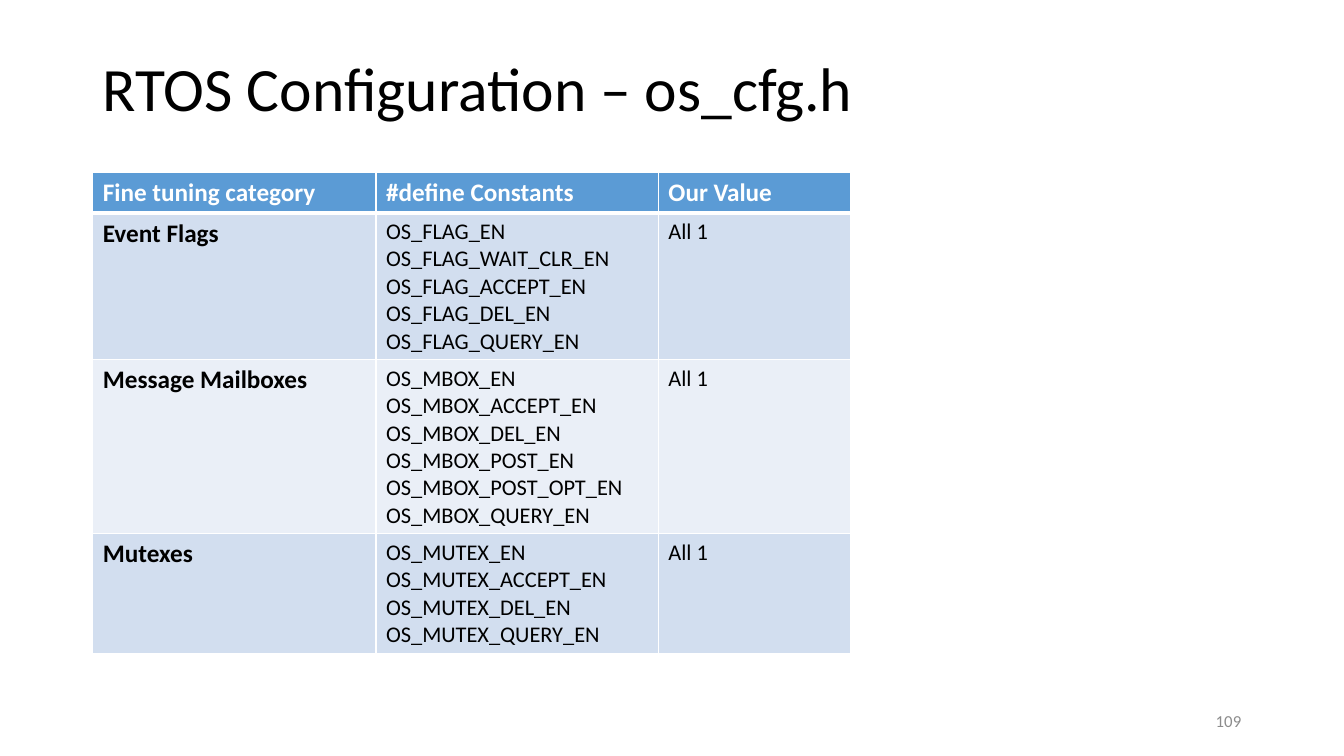
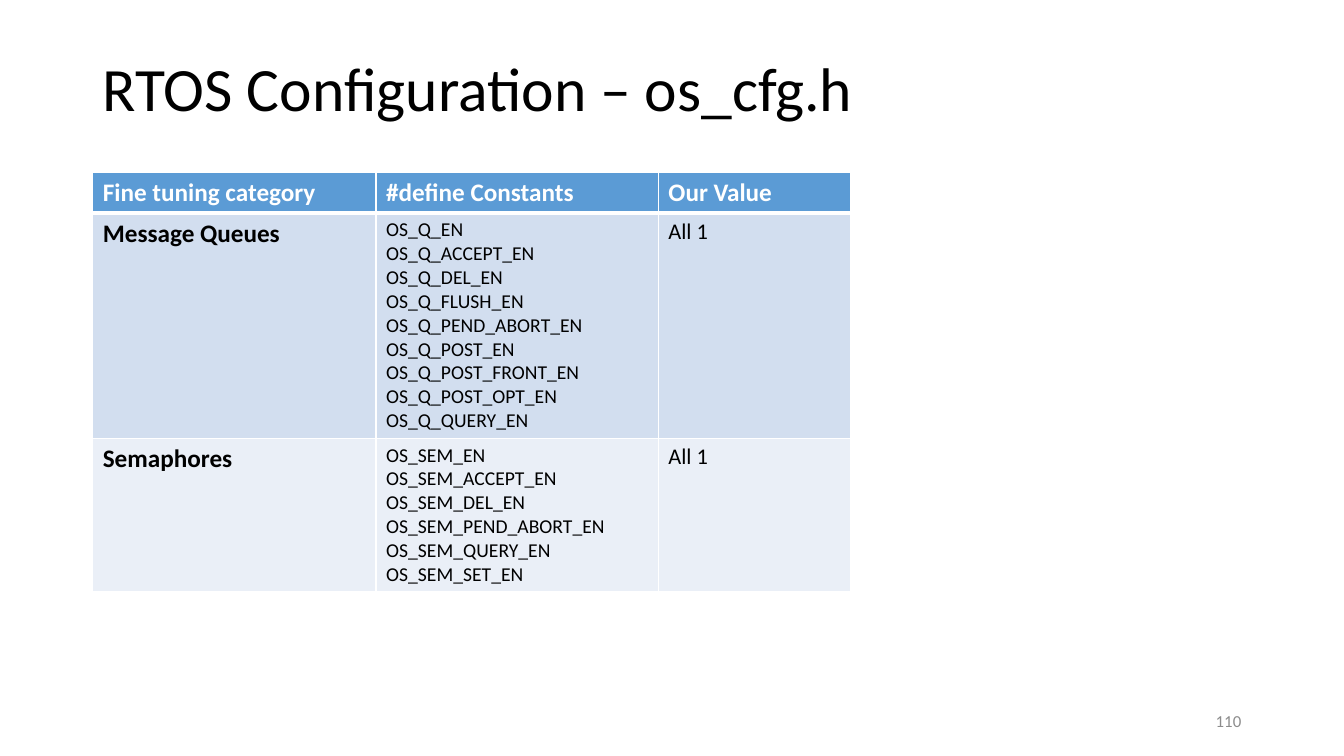
"""Build two slides of kernel configuration tables."""
from dataclasses import dataclass

import lxml.etree
import pptx
import pptx.dml.color
import pptx.enum.text
import pptx.oxml.ns
import pptx.util


@dataclass(frozen=True)
class Theme:
    font: str = "Calibri"
    text: str = "000000"
    white: str = "FFFFFF"
    header: str = "5B9BD5"
    bands: tuple = ("D2DEEF", "EAEFF7")
    muted: str = "8C8C8C"
    title_size: int = 44
    label_size: int = 18
    value_size: int = 16
    number_size: int = 12
    rule: int = 1
    header_rule: int = 3


theme = Theme()
Inches = pptx.util.Inches
MIDDLE = pptx.enum.text.MSO_ANCHOR.MIDDLE
LEFT = pptx.enum.text.PP_ALIGN.LEFT
RIGHT = pptx.enum.text.PP_ALIGN.RIGHT

WIDTH, HEIGHT = 13.33, 7.5
MARGIN = 0.92
CONTENT_WIDTH = WIDTH - 2 * MARGIN
COLUMNS = (2.81, 2.8, 1.91)
LINE_HEIGHT = 1.22 / 72
CELL_PADDING = 0.1

TITLE = "RTOS Configuration – os_cfg.h"
HEADINGS = ("Fine tuning category", "#define Constants", "Our Value")
PAGES = [
    (109, 16, [
        ("Event Flags", "OS_FLAG", "EN WAIT_CLR_EN ACCEPT_EN DEL_EN QUERY_EN"),
        ("Message Mailboxes", "OS_MBOX",
         "EN ACCEPT_EN DEL_EN POST_EN POST_OPT_EN QUERY_EN"),
        ("Mutexes", "OS_MUTEX", "EN ACCEPT_EN DEL_EN QUERY_EN"),
    ]),
    (110, 14, [
        ("Message Queues", "OS_Q",
         "EN ACCEPT_EN DEL_EN FLUSH_EN PEND_ABORT_EN POST_EN "
         "POST_FRONT_EN POST_OPT_EN QUERY_EN"),
        ("Semaphores", "OS_SEM",
         "EN ACCEPT_EN DEL_EN PEND_ABORT_EN QUERY_EN SET_EN"),
    ]),
]


def write_text(frame, text, size, color, bold=False, align=LEFT, spacing=1.0):
    """Fill a text frame and format every run."""
    frame.text = text
    frame.word_wrap = True
    for paragraph in frame.paragraphs:
        paragraph.alignment = align
        paragraph.line_spacing = spacing
        for run in paragraph.runs:
            run.font.name = theme.font
            run.font.size = pptx.util.Pt(size)
            run.font.bold = bold
            run.font.color.rgb = pptx.dml.color.RGBColor.from_string(color)


def style_cell(cell, fill, top, bottom):
    """Give a cell its white borders and its fill."""
    qn = pptx.oxml.ns.qn
    properties = cell._tc.get_or_add_tcPr()
    widths = {"L": theme.rule, "R": theme.rule, "T": top, "B": bottom}
    for side, width in widths.items():
        line = lxml.etree.SubElement(
            properties, qn(f"a:ln{side}"), w=str(pptx.util.Pt(width)))
        solid = lxml.etree.SubElement(line, qn("a:solidFill"))
        lxml.etree.SubElement(solid, qn("a:srgbClr"), val=theme.white)
    cell.fill.solid()
    cell.fill.fore_color.rgb = pptx.dml.color.RGBColor.from_string(fill)


presentation = pptx.Presentation()
presentation.slide_width = Inches(WIDTH)
presentation.slide_height = Inches(HEIGHT)

for number, constant_size, categories in PAGES:
    slide = presentation.slides.add_slide(presentation.slide_layouts[6])

    title = slide.shapes.add_textbox(
        Inches(MARGIN), Inches(0.4), Inches(CONTENT_WIDTH), Inches(1.02))
    title.text_frame.vertical_anchor = MIDDLE
    write_text(title.text_frame, TITLE, theme.title_size, theme.text, spacing=0.9)

    rows = [HEADINGS]
    heights = [theme.label_size * LINE_HEIGHT + CELL_PADDING]
    for category, prefix, suffixes in categories:
        constants = [f"{prefix}_{suffix}" for suffix in suffixes.split()]
        rows.append((category, "\n".join(constants), "All 1"))
        heights.append(len(constants) * constant_size * LINE_HEIGHT + CELL_PADDING)

    table = slide.shapes.add_table(
        len(rows), len(COLUMNS), Inches(MARGIN), Inches(1.71),
        Inches(sum(COLUMNS)), Inches(sum(heights))).table
    for column, width in zip(table.columns, COLUMNS):
        column.width = Inches(width)
    sizes = (theme.label_size, constant_size, theme.value_size)
    for row_index, (texts, height) in enumerate(zip(rows, heights)):
        table.rows[row_index].height = Inches(height)
        is_header = row_index == 0
        fill = theme.header if is_header else theme.bands[(row_index - 1) % 2]
        top = theme.header_rule if row_index == 1 else theme.rule
        bottom = theme.header_rule if is_header else theme.rule
        for column_index, text in enumerate(texts):
            cell = table.cell(row_index, column_index)
            style_cell(cell, fill, top, bottom)
            write_text(
                cell.text_frame, text,
                theme.label_size if is_header else sizes[column_index],
                theme.white if is_header else theme.text,
                bold=is_header or column_index == 0)

    footer = slide.shapes.add_textbox(
        Inches(WIDTH - MARGIN - 3), Inches(6.95), Inches(3), Inches(0.4))
    footer.text_frame.vertical_anchor = MIDDLE
    write_text(footer.text_frame, str(number), theme.number_size, theme.muted, align=RIGHT)

presentation.save("out.pptx")
